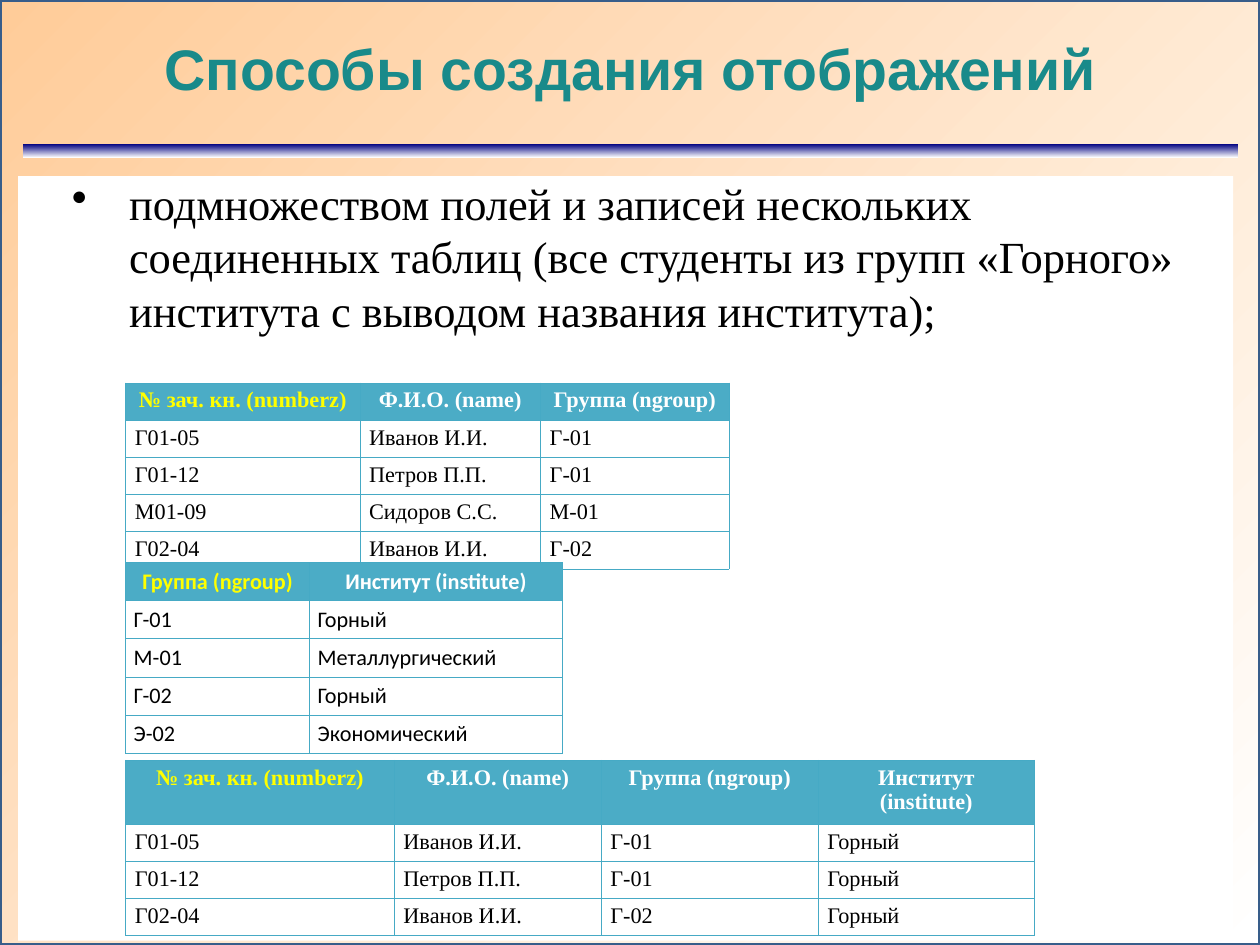
import copy
import pptx
import pptx.util
import pptx.dml.color
import pptx.enum.shapes
import pptx.enum.text
import pptx.oxml
import pptx.oxml.ns

Inches, Pt = pptx.util.Inches, pptx.util.Pt
RGBColor = pptx.dml.color.RGBColor
ALIGN = pptx.enum.text.PP_ALIGN
ANCHOR = pptx.enum.text.MSO_ANCHOR
qn = pptx.oxml.ns.qn

WHITE = RGBColor(0xFF, 0xFF, 0xFF)
BLACK = RGBColor(0x00, 0x00, 0x00)
PEACH = RGBColor(0xFF, 0xCC, 0x99)
NAVY = RGBColor(0x00, 0x00, 0x80)
FRAME = RGBColor(0x38, 0x5D, 0x8A)
TEAL = RGBColor(0x19, 0x8A, 0x8A)
YELLOW = RGBColor(0xFF, 0xFF, 0x00)
HEADER = RGBColor(0x4B, 0xAC, 0xC6)
BORDER = RGBColor(0x46, 0xAA, 0xC5)

SERIF = "Times New Roman"
TITLE = "Способы создания отображений"
BODY = ("подмножеством полей и записей нескольких соединенных таблиц "
        "(все студенты из групп «Горного» института с выводом названия института);")
TABLES = [
    dict(top=3.35, cols=[2.05, 1.58, 1.65], row=0.23, head=0.23, inset=0.08, pad=3.3, font=SERIF, rows=[
        ("№ зач. кн. (numberz)", "Ф.И.О. (name)", "Группа (ngroup)"),
        ("Г01-05", "Иванов И.И.", "Г-01"),
        ("Г01-12", "Петров П.П.", "Г-01"),
        ("М01-09", "Сидоров С.С.", "М-01"),
        ("Г02-04", "Иванов И.И.", "Г-02"),
    ]),
    dict(top=4.92, cols=[1.61, 2.21], row=0.24, head=0.24, inset=0.07, pad=3.6, font="Calibri", rows=[
        ("Группа (ngroup)", "Институт (institute)"),
        ("Г-01", "Горный"),
        ("М-01", "Металлургический"),
        ("Г-02", "Горный"),
        ("Э-02", "Экономический"),
    ]),
    dict(top=6.65, cols=[2.35, 1.81, 1.9, 1.89], row=0.23, head=0.47, inset=0.08, pad=3.3, font=SERIF, rows=[
        ("№ зач. кн. (numberz)", "Ф.И.О. (name)", "Группа (ngroup)", "Институт\v(institute)"),
        ("Г01-05", "Иванов И.И.", "Г-01", "Горный"),
        ("Г01-12", "Петров П.П.", "Г-01", "Горный"),
        ("Г02-04", "Иванов И.И.", "Г-02", "Горный"),
    ]),
]
TABLE_LEFT = 1.1
WIDTH, HEIGHT = Pt(793.75), Pt(595.25)


def write(p, text, font=SERIF, size=14, color=BLACK, bold=False, align=ALIGN.LEFT):
    p.text = text
    p.alignment = align
    for r in p.runs:
        r.font.name, r.font.size, r.font.bold = font, Pt(size), bold
        r.font.color.rgb = color
    r_pr = p.runs[0]._r.rPr
    for br in p._p.findall(qn("a:br")):
        br.append(copy.deepcopy(r_pr))
    end = copy.deepcopy(r_pr)
    end.tag = qn("a:endParaRPr")
    p._p.append(end)


def no_insets(tf, anchor):
    tf.word_wrap = True
    tf.vertical_anchor = anchor
    tf.margin_left = tf.margin_right = tf.margin_top = tf.margin_bottom = 0
    return tf.paragraphs[0]


def add_rect(shapes, left, top, width, height, colors, angle=0):
    sp = shapes.add_shape(pptx.enum.shapes.MSO_SHAPE.RECTANGLE, left, top, width, height)
    sp.shadow.inherit = False
    sp.line.fill.background()
    if len(colors) == 1:
        sp.fill.solid()
        sp.fill.fore_color.rgb = colors[0]
    else:
        sp.fill.gradient()
        sp.fill.gradient_angle = angle
        for stop, color in zip(sp.fill.gradient_stops, colors):
            stop.color.rgb = color
    return sp


def add_borders(cell):
    tc_pr = cell._tc.get_or_add_tcPr()
    for side in ("lnL", "lnR", "lnT", "lnB"):
        tc_pr.append(pptx.oxml.parse_xml(
            f'<a:{side} {pptx.oxml.ns.nsdecls("a")} w="{Pt(0.34)}"><a:solidFill>'
            f'<a:srgbClr val="{BORDER}"/></a:solidFill></a:{side}>'))


def add_grid(shapes, top, cols, row, head, inset, pad, font, rows):
    heights = [head] + [row] * (len(rows) - 1)
    table = shapes.add_table(len(rows), len(cols), Inches(TABLE_LEFT), Inches(top),
                             Inches(sum(cols)), Inches(sum(heights))).table
    table.first_row = table.horz_banding = False
    for col, width in zip(table.columns, cols):
        col.width = Inches(width)
    for i, (values, height) in enumerate(zip(rows, heights)):
        table.rows[i].height = Inches(height)
        for j, value in enumerate(values):
            cell = table.cell(i, j)
            add_borders(cell)
            cell.margin_left = cell.margin_right = Inches(inset)
            cell.margin_top = cell.margin_bottom = Pt(pad)
            cell.fill.solid()
            cell.fill.fore_color.rgb = WHITE if i else HEADER
            p = cell.text_frame.paragraphs[0]
            if i == 0:
                write(p, value, font=font, color=WHITE if j else YELLOW, bold=True, align=ALIGN.CENTER)
            else:
                is_institute = rows[0][j].startswith("Институт")
                write(p, value, font=font, align=ALIGN.JUSTIFY if is_institute else ALIGN.LEFT)


def main():
    prs = pptx.Presentation()
    prs.slide_width, prs.slide_height = WIDTH, HEIGHT
    s = prs.slides.add_slide(prs.slide_layouts[6])

    backdrop = add_rect(s.shapes, 0, 0, WIDTH, HEIGHT, [WHITE, PEACH], angle=135)
    backdrop.line.color.rgb = FRAME
    backdrop.line.width = Pt(2)
    add_rect(s.shapes, Inches(0.2), Inches(1.26), Inches(10.63), Inches(0.12), [NAVY, WHITE], angle=270)

    title = s.shapes.add_textbox(Inches(0.2), Inches(0.2), Inches(10.63), Inches(0.79))
    write(no_insets(title.text_frame, ANCHOR.MIDDLE), TITLE,
          font="Arial", size=36, color=TEAL, bold=True, align=ALIGN.CENTER)

    panel = add_rect(s.shapes, Inches(0.16), Inches(1.54), Inches(10.63), Inches(6.69), [WHITE])
    p = no_insets(panel.text_frame, ANCHOR.TOP)
    p_pr = p._p.get_or_add_pPr()
    p_pr.set("marL", str(Inches(0.97)))
    p_pr.set("indent", str(Inches(-0.5)))
    p_pr.append(pptx.oxml.parse_xml(
        f'<a:buClr {pptx.oxml.ns.nsdecls("a")}><a:srgbClr val="{BLACK}"/></a:buClr>'))
    p_pr.append(pptx.oxml.parse_xml(f'<a:buChar {pptx.oxml.ns.nsdecls("a")} char="•"/>'))
    write(p, BODY, size=28)

    for grid in TABLES:
        add_grid(s.shapes, **grid)

    prs.save("out.pptx")


if __name__ == "__main__":
    main()
